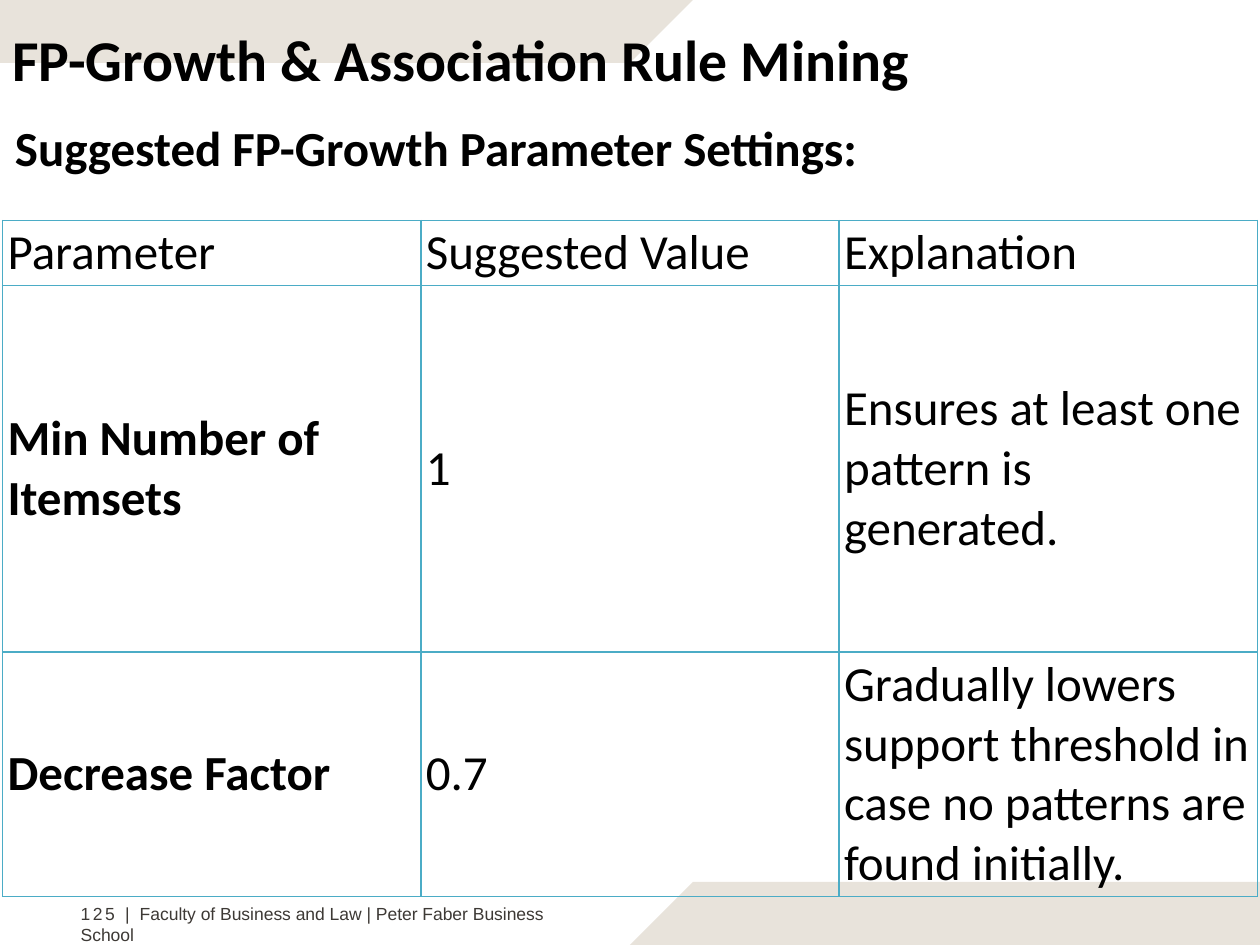
from dataclasses import dataclass

from pptx import Presentation
from pptx.dml.color import RGBColor
from pptx.enum.text import MSO_ANCHOR, MSO_AUTO_SIZE
from pptx.oxml import parse_xml
from pptx.oxml.ns import nsdecls
from pptx.util import Emu, Inches, Pt

MIDDLE, TOP = MSO_ANCHOR.MIDDLE, MSO_ANCHOR.TOP
FIXED = MSO_AUTO_SIZE.NONE
WIDTH, HEIGHT = Inches(10), Inches(7.5)
COLS, ROWS = 20, 15


@dataclass(frozen=True)
class Theme:
    band: str = "E8E3DB"
    ink: str = "000000"
    grey: str = "3D3935"
    rule: str = "4BACC6"
    head: str = "Calibri"
    foot: str = "Arial"
    title: float = 33
    body: float = 28
    small: float = 10


@dataclass(frozen=True)
class Run:
    text: str
    size: float
    font: str
    color: str
    bold: bool = False
    gap: int = 0


@dataclass(frozen=True)
class Label:
    box: tuple[float, float, float, float]
    runs: tuple[Run, ...]
    anchor: MSO_ANCHOR = MIDDLE
    wrap: bool = True
    inset: tuple[float, float] = (0.1, 0.05)
    line: float = 1.0
    indent: float = 0


THEME = Theme()
BANDS = (
    ((11, 0), (0, 0), (0, 1), (10, 1)),
    ((20, 14), (11, 14), (10, 15), (20, 15)),
)
LABELS = (
    Label((0, -0.2, 19.96, 1.7),
          (Run("FP-Growth & Association Rule Mining", THEME.title,
               THEME.head, THEME.ink, True),), line=1.5),
    Label((0.04, 1.76, 14.06, 1.14),
          (Run("Suggested FP-Growth Parameter Settings:", THEME.body,
               THEME.head, THEME.ink, True),), wrap=False),
    Label((1.2, 14.34, 8.16, 0.36),
          (Run("125 | ", THEME.small, THEME.foot, THEME.grey, gap=150),
           Run("Faculty of Business and Law | Peter Faber Business School",
               THEME.small, THEME.foot, THEME.grey)),
          anchor=TOP, inset=(0, 0), indent=0.04),
)
TABLE = (
    ("Parameter", "Suggested Value", "Explanation"),
    ("Min Number of Itemsets", "1",
     "Ensures at least one pattern is generated."),
    ("Decrease Factor", "0.7",
     "Gradually lowers support threshold in case no patterns are found "
     "initially."),
)
TALLS = (1.02, 5.82, 3.8)


def across(cols: float) -> Emu:
    return Emu(round(WIDTH * cols / COLS))


def down(rows: float) -> Emu:
    return Emu(round(HEIGHT * rows / ROWS))


def style(run, spec: Run) -> None:
    font = run.font
    font.name, font.size, font.bold = spec.font, Pt(spec.size), spec.bold
    font.color.rgb = RGBColor.from_string(spec.color)
    if spec.gap:
        run._r.get_or_add_rPr().set("spc", str(spec.gap))


def draw_band(slide, points) -> None:
    spots = [(across(x), down(y)) for x, y in points]
    pen = slide.shapes.build_freeform(*spots[0])
    pen.add_line_segments(spots[1:], close=True)
    band = pen.convert_to_shape()
    band.shadow.inherit = False
    band.fill.solid()
    band.fill.fore_color.rgb = RGBColor.from_string(THEME.band)
    band.line.fill.background()


def draw_label(slide, label: Label) -> None:
    left, top, wide, tall = label.box
    box = slide.shapes.add_textbox(
        across(left), down(top), across(wide), down(tall))
    frame = box.text_frame
    frame.word_wrap, frame.auto_size = label.wrap, FIXED
    frame.vertical_anchor = label.anchor
    side, edge = (Inches(size) for size in label.inset)
    frame.margin_left = frame.margin_right = side
    frame.margin_top = frame.margin_bottom = edge
    para = frame.paragraphs[0]
    para.line_spacing = label.line
    if label.indent:
        para._p.get_or_add_pPr().set("marL", str(Inches(label.indent)))
    for spec in label.runs:
        run = para.add_run()
        run.text = spec.text
        style(run, spec)


def draw_cell(cell, text: str, bold: bool) -> None:
    cell.text_frame.text = text
    cell.vertical_anchor = MIDDLE
    cell.margin_left = cell.margin_right = Inches(0.04)
    cell.margin_top = cell.margin_bottom = Inches(0.02)
    run = cell.text_frame.paragraphs[0].runs[0]
    style(run, Run(text, THEME.body, THEME.head, THEME.ink, bold))
    props = cell._tc.get_or_add_tcPr()
    for side in ("lnL", "lnR", "lnT", "lnB"):
        props.append(parse_xml(
            f'<a:{side} {nsdecls("a")} w="{Pt(1)}"><a:solidFill>'
            f'<a:srgbClr val="{THEME.rule}"/></a:solidFill></a:{side}>'))
    cell.fill.background()


def draw_table(slide) -> None:
    wide = 19.92
    grid = slide.shapes.add_table(
        len(TABLE), len(TABLE[0]), across(0.04), down(3.5),
        across(wide), down(sum(TALLS))).table
    grid.first_row = grid.horz_banding = False
    for col in grid.columns:
        col.width = across(wide / len(TABLE[0]))
    for r, (texts, tall) in enumerate(zip(TABLE, TALLS)):
        grid.rows[r].height = down(tall)
        for c, text in enumerate(texts):
            draw_cell(grid.cell(r, c), text, r > 0 and c == 0)


def main() -> None:
    deck = Presentation()
    deck.slide_width, deck.slide_height = WIDTH, HEIGHT
    slide = deck.slides.add_slide(deck.slide_layouts[6])
    for points in BANDS:
        draw_band(slide, points)
    for label in LABELS:
        draw_label(slide, label)
    draw_table(slide)
    deck.save("out.pptx")


if __name__ == "__main__":
    main()
